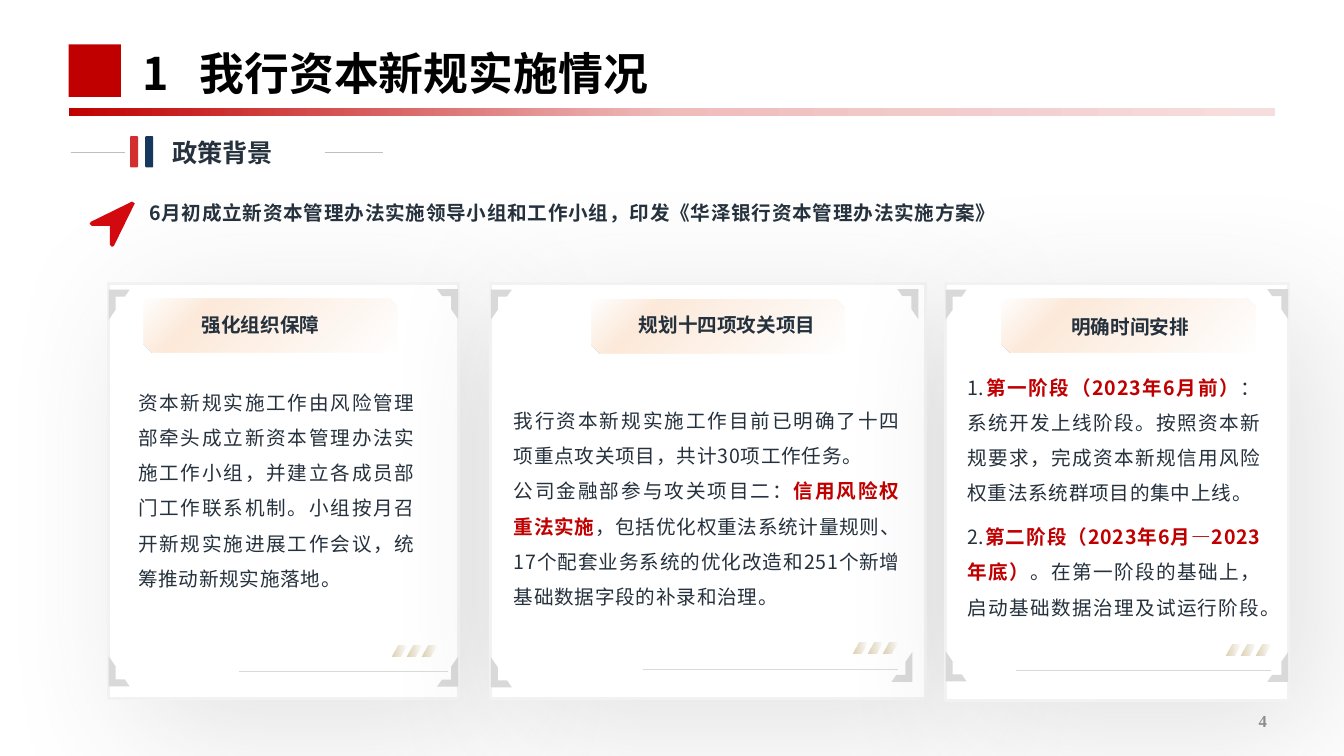
from lxml import etree
from pptx import Presentation
from pptx.dml.color import RGBColor
from pptx.enum.shapes import MSO_CONNECTOR, MSO_SHAPE as SHAPE
from pptx.enum.text import MSO_ANCHOR as ANCHOR, MSO_AUTO_SIZE, PP_ALIGN as ALIGN
from pptx.oxml import parse_xml
from pptx.oxml.ns import nsdecls, qn
from pptx.util import Cm, Pt

RED = RGBColor(0xC0, 0x00, 0x00)
BRIGHT_RED = RGBColor(0xD3, 0x2F, 0x2F)
ARROW_RED = RGBColor(0xD2, 0x0A, 0x10)
NAVY = RGBColor(0x17, 0x37, 0x5E)
INK = RGBColor(0x25, 0x31, 0x3D)
BLACK = RGBColor(0x00, 0x00, 0x00)
WHITE = RGBColor(0xFF, 0xFF, 0xFF)
CARD_EDGE = RGBColor(0xF2, 0xF2, 0xF2)
CORNER_GREY = RGBColor(0xD9, 0xD9, 0xD9)
RULE_GREY = RGBColor(0xBF, 0xBF, 0xBF)
PAGE_GREY = RGBColor(0x8C, 0x8C, 0x8C)
PEACH = RGBColor(0xFD, 0xEA, 0xDA)
SAND = RGBColor(0xDC, 0xCE, 0xB0)
PINK = RGBColor(0xEF, 0xBC, 0xBC)
PALE_PINK = RGBColor(0xF7, 0xDE, 0xDE)
SHADOW = RGBColor(0x40, 0x40, 0x40)
SANS = "Noto Sans CJK SC"
LINEAR = '<a:lin ang="0" scaled="0"/>'
RADIAL = '<a:path path="circle"><a:fillToRect l="100000" t="100000"/></a:path>'

prs = Presentation()
prs.slide_width, prs.slide_height = Cm(33.87), Cm(19.05)
slide = prs.slides.add_slide(prs.slide_layouts[5])
shapes = slide.shapes


def write(paragraphs, box, holder=None, size=14, color=INK, bold=False, font=SANS, align=ALIGN.LEFT,
          leading=1.0, after=0, spacing=0, wrap=True, anchor=ANCHOR.TOP, tab=None):
    x, y, w, h = map(Cm, box)
    holder = holder or shapes.add_textbox(x, y, w, h)
    holder.left, holder.top, holder.width, holder.height = x, y, w, h
    frame = holder.text_frame
    frame.auto_size = MSO_AUTO_SIZE.NONE
    frame.word_wrap, frame.vertical_anchor = wrap, anchor
    for index, parts in enumerate(paragraphs):
        paragraph = frame.add_paragraph() if index else frame.paragraphs[0]
        paragraph.alignment, paragraph.line_spacing = align, leading
        paragraph.space_after = Pt(after)
        if tab:
            paragraph._p.get_or_add_pPr().append(parse_xml(
                f'<a:tabLst {nsdecls("a")}><a:tab pos="{Cm(tab)}" algn="l"/></a:tabLst>'))
        for order, part in enumerate(parts):
            run = paragraph.add_run()
            run.text = part
            emphasis = order % 2 == 1
            run.font.size, run.font.name = Pt(size), font
            run.font.bold = bold or emphasis
            run.font.color.rgb = RED if emphasis else color
            props = run._r.get_or_add_rPr()
            props.set("lang", "zh-CN")
            props.set("spc", str(int(spacing * 100)))
            etree.SubElement(props, qn("a:ea")).set("typeface", font)


def draw(kind, box, fill=None, stops=(), direction=LINEAR, adjust=None):
    shape = shapes.add_shape(kind, *map(Cm, box))
    shape.shadow.inherit = False
    shape.line.fill.background()
    if adjust is not None:
        shape.adjustments[0] = adjust
    if fill is not None:
        shape.fill.solid()
        shape.fill.fore_color.rgb = fill
    if stops:
        marks = "".join(
            f'<a:gs pos="{pos * 1000}"><a:srgbClr val="{color}"><a:alpha val="{alpha * 1000}"/></a:srgbClr></a:gs>'
            for pos, color, alpha in stops)
        shape._element.spPr.find(qn("a:prstGeom")).addnext(parse_xml(
            f'<a:gradFill {nsdecls("a")} rotWithShape="1"><a:gsLst>{marks}</a:gsLst>{direction}</a:gradFill>'))
    return shape


draw(SHAPE.RECTANGLE, (1.73, 1.12, 1.32, 1.32), RED)
draw(SHAPE.RECTANGLE, (1.73, 2.72, 30.4, 0.2),
     stops=[(0, RED, 100), (50, PINK, 100), (100, PALE_PINK, 100)])
write([["1\t我行资本新规实施情况"]], (3.33, 0.86, 19.43, 1.96), holder=shapes.title,
      size=32, color=BLACK, bold=True, anchor=ANCHOR.MIDDLE, tab=1.45)

cards = [
    dict(box=(2.74, 7.14, 8.81, 10.46), insets=(0, 0), corner_tops=(16.54, 16.54),
         banner=(3.63, 7.52), label=(4.83, 7.77), heading="强化组织保障",
         ticks=(9.86, 16.26), rule=(6.02, 11.3, 16.92), body=(3.23, 9.42, 7.49, 5.64), after=6,
         text=[["资本新规实施工作由风险管理部牵头成立新资本管理办法实施工作小组，并建立各成员部门工作联系机制。"
                "小组按月召开新规实施进展工作会议，统筹推动新规实施落地。"]]),
    dict(box=(12.37, 7.14, 10.95, 10.46), insets=(0.17, 0.32), corner_tops=(16.56, 16.42),
         banner=(14.91, 7.54), label=(15.85, 7.77), heading="规划十四项攻关项目",
         ticks=(21.49, 16.18), rule=(16.21, 22.63, 16.87), body=(12.7, 9.88, 10.24, 5.64), after=0,
         text=[["我行资本新规实施工作目前已明确了十四项重点攻关项目，共计30项工作任务。"],
               ["公司金融部参与攻关项目二：", "信用风险权重法实施",
                "，包括优化权重法系统计量规则、17个配套业务系统的优化改造和251个新增基础数据字段的补录和治理。"]]),
    dict(box=(23.83, 7.14, 8.64, 10.52), insets=(0, 0), corner_tops=(16.41, 16.42),
         banner=(25.25, 7.52), label=(26.75, 7.8), heading="明确时间安排",
         ticks=(30.89, 16.23), rule=(25.6, 32.03, 16.89), body=(24.13, 9.04, 7.9, 7.65), after=6,
         text=[["1.", "第一阶段（2023年6月前）",
                "：系统开发上线阶段。按照资本新规要求，完成资本新规信用风险权重法系统群项目的集中上线。"],
               ["2.", "第二阶段（2023年6月—2023年底）",
                "。在第一阶段的基础上，启动基础数据治理及试运行阶段。"]]),
]
rules = [(1.78, 3.15, 3.84, RULE_GREY, 0.5), (8.2, 9.65, 3.84, RULE_GREY, 0.5)]

for card in cards:
    left, top, width, height = card["box"]
    panel = draw(SHAPE.RECTANGLE, card["box"], WHITE)
    panel.line.color.rgb, panel.line.width = CARD_EDGE, Pt(2)
    panel._element.spPr.find(qn("a:effectLst")).append(parse_xml(
        f'<a:outerShdw {nsdecls("a")} blurRad="{Pt(100)}" dist="{Pt(29)}" dir="2700000" algn="tl" '
        f'rotWithShape="0"><a:srgbClr val="{SHADOW}"><a:alpha val="15000"/></a:srgbClr></a:outerShdw>'))

    right = left + width - 0.65
    top_inset, bottom_inset = card["insets"]
    left_bottom, right_bottom = card["corner_tops"]
    for x, y, w, h, turn, flipped in [
        (left, 7.3, 0.53, 0.76, 0, False),
        (right - top_inset, 7.4, 0.76, 0.53, 90, False),
        (left, left_bottom, 0.53, 0.76, 0, True),
        (right - bottom_inset, right_bottom + 0.12, 0.76, 0.53, 270, True),
    ]:
        corner = draw(SHAPE.HALF_FRAME, (x, y, w, h), CORNER_GREY)
        corner.rotation = turn
        if flipped:
            corner._element.spPr.find(qn("a:xfrm")).set("flipV", "1")

    draw(SHAPE.SNIP_2_DIAG_RECTANGLE, (*card["banner"], 6.38, 1.36),
         stops=[(0, PEACH, 0), (77, PEACH, 100), (100, PEACH, 0)], direction=RADIAL)
    write([[card["heading"]]], (*card["label"], 5.59, 0.86), bold=True, wrap=False)
    write(card["text"], card["body"], align=ALIGN.JUSTIFY, leading=1.5, after=card["after"], spacing=0.5)
    tick_left, tick_top = card["ticks"]
    for step in range(3):
        draw(SHAPE.PARALLELOGRAM, (tick_left + 0.38 * step, tick_top, 0.38, 0.28),
             stops=[(0, SAND, 100), (100, SAND, 0)], adjust=0.56)
    rules.append((*card["rule"], CORNER_GREY, 1))

for start, end, y, color, weight in rules:
    rule = shapes.add_connector(MSO_CONNECTOR.STRAIGHT, Cm(start), Cm(y), Cm(end), Cm(y))
    rule.line.color.rgb, rule.line.width = color, Pt(weight)
    etree.SubElement(rule._element.spPr, qn("a:effectLst"))

for x, color in [(3.28, BRIGHT_RED), (3.66, NAVY)]:
    draw(SHAPE.ROUNDED_RECTANGLE, (x, 3.43, 0.2, 0.79), color, adjust=0.15)
write([["政策背景"]], (4.09, 3.33, 5.49, 1.02), size=18, bold=True)

outline = [(3.38, 5.16), (2.87, 6.2), (2.82, 6.22), (2.77, 6.17), (2.77, 5.69),
           (2.31, 5.69), (2.26, 5.64), (2.29, 5.59), (3.33, 5.08), (3.4, 5.13)]
points = [(Cm(x), Cm(y)) for x, y in outline]
builder = shapes.build_freeform(*points[0])
builder.add_line_segments(points[1:], close=True)
pointer = builder.convert_to_shape()
pointer.shadow.inherit = False
pointer.fill.solid()
pointer.fill.fore_color.rgb = ARROW_RED
pointer.line.fill.background()

write([["6月初成立新资本管理办法实施领导小组和工作小组，印发《华泽银行资本管理办法实施方案》"]],
      (3.51, 4.65, 28.68, 1.14), bold=True, align=ALIGN.JUSTIFY, leading=1.5, spacing=0.5)
write([["4"]], (24.28, 17.65, 7.9, 1.02), size=12, color=PAGE_GREY, bold=True,
      font="Times New Roman", align=ALIGN.RIGHT, anchor=ANCHOR.MIDDLE)

prs.save("out.pptx")
